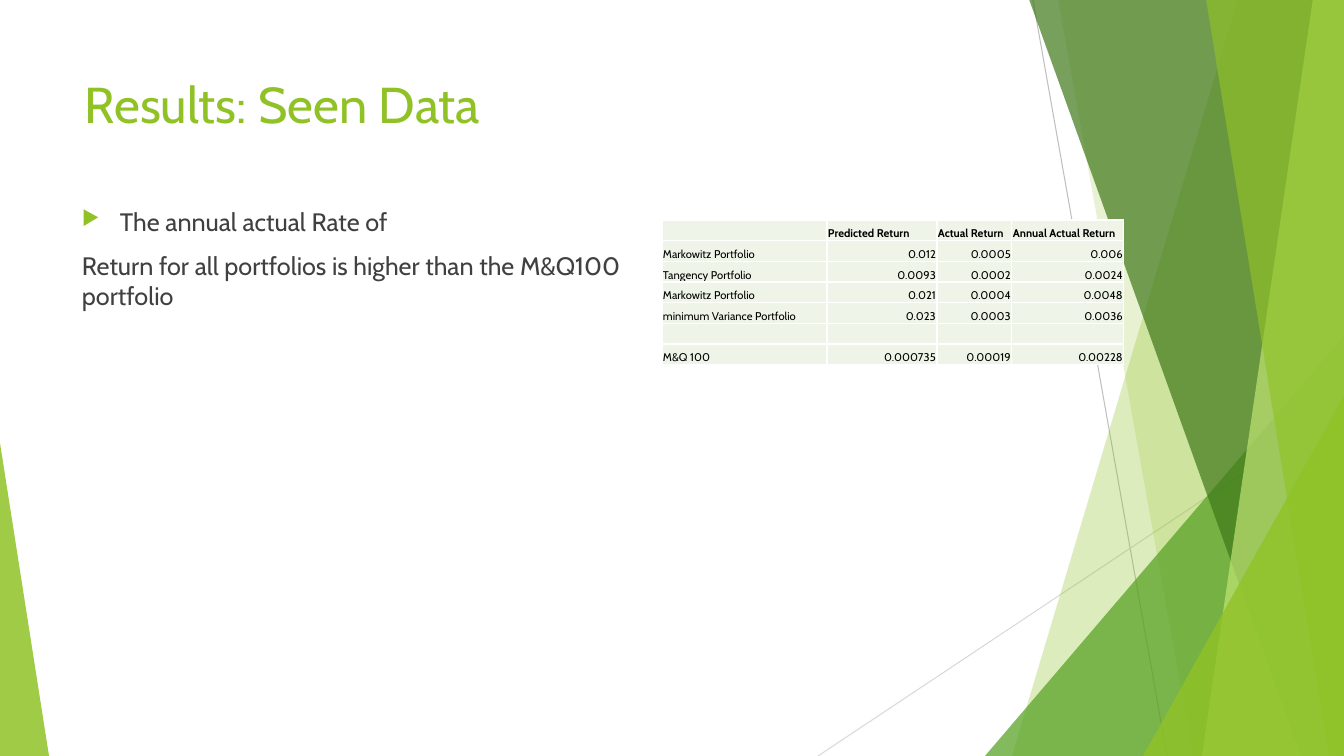
from lxml import etree
from pptx import Presentation
from pptx import util as u
from pptx.dml.color import RGBColor
from pptx.enum import shapes, text
from pptx.oxml.ns import qn

TITLE = "Results: Seen Data"
BULLET_LINE = "The annual actual Rate of"
PLAIN_LINE = "Return for all portfolios is higher than the M&Q100 portfolio"
RETURNS = [
    ("", "Predicted Return", "Actual Return", "Annual Actual Return"),
    ("Markowitz Portfolio", "0.012", "0.0005", "0.006"),
    ("Tangency Portfolio", "0.0093", "0.0002", "0.0024"),
    ("Markowitz Portfolio", "0.021", "0.0004", "0.0048"),
    ("minimum Variance Portfolio", "0.023", "0.0003", "0.0036"),
    ("", "", "", ""),
    ("M&Q 100", "0.000735", "0.00019", "0.00228"),
]

PX = 914400 / 100.8
WIDTH, HEIGHT = 1344, 756
FONT = "Cabin"
WHITE = RGBColor(0xFF, 0xFF, 0xFF)
BLACK = RGBColor(0, 0, 0)
BODY_GRAY = RGBColor(0x40, 0x40, 0x40)
LINE_GRAY = RGBColor(0xBF, 0xBF, 0xBF)
PALE_GRAY = RGBColor(0xD9, 0xD9, 0xD9)
LIME = RGBColor(0x90, 0xC2, 0x26)
GREEN = RGBColor(0x54, 0xA0, 0x21)
DARK_GREEN = RGBColor(0x3F, 0x78, 0x19)
PALE_LIME = RGBColor(0xC0, 0xE4, 0x74)
CELL_GREEN = RGBColor(0xEE, 0xF4, 0xE8)

THIN_LINES = [((1033, 0), (1167, HEIGHT), LINE_GRAY),
              ((WIDTH, 406), (818, HEIGHT), PALE_GRAY)]
# Band: x of the left edge at top and bottom. Triangle: left, top, width, apex.
# Both end with colour and opacity in percent.
DECORATION = [
    ("band", (1238, 1012), LIME, 30),
    ("band", (1058, 1193), LIME, 20),
    ("triangle", (985, 336, 359, 1), GREEN, 72),
    ("band", (1029, 1301), DARK_GREEN, 70),
    ("band", (1313, 1202), PALE_LIME, 70),
    ("band", (1206, 1329), LIME, 65),
    ("triangle", (1143, 396, 201, 1), LIME, 80),
    ("triangle", (0, 443, 49, 0), LIME, 85),
]
TITLE_BOX = (75, 68, 948, 145)
BODY_BOX = (72, 201, 572, 480)
BULLET_INDENT = 38
TABLE_LEFT, TABLE_TOP, TABLE_HEIGHT = 662, 220, 145
COLUMN_WIDTHS = (165, 110, 75, 112)


def px(*lengths):
    return [u.Emu(round(length * PX)) for length in lengths]


def add_xml(parent, tag, **attributes):
    return etree.SubElement(parent, qn(tag), attributes)


def add_thin_line(slide, start, end, colour):
    line = slide.shapes.add_connector(shapes.MSO_CONNECTOR.STRAIGHT, *px(*start, *end))
    line.line.color.rgb = colour
    line.line.width = u.Pt(0.75)
    add_xml(line._element.spPr, "a:effectLst")


def add_decoration(slide, kind, geometry, colour, opacity):
    if kind == "band":
        top_x, bottom_x = geometry
        builder = slide.shapes.build_freeform(top_x, -1, scale=PX)
        builder.add_line_segments([(WIDTH, -1), (WIDTH, HEIGHT), (bottom_x, HEIGHT)])
        shape = builder.convert_to_shape()
    else:
        left, top, width, apex = geometry
        shape = slide.shapes.add_shape(shapes.MSO_SHAPE.ISOSCELES_TRIANGLE,
                                       *px(left, top, width, HEIGHT - top))
        shape.adjustments[0] = apex
    shape.shadow.inherit = False
    shape.line.fill.background()
    shape.fill.solid()
    shape.fill.fore_color.rgb = colour
    colour_node = shape.fill._xPr.find(qn("a:solidFill"))[0]
    add_xml(colour_node, "a:alpha", val=str(opacity * 1000))


def style(paragraph, size, colour, bold=False):
    font = paragraph.font
    font.name, font.size, font.bold = FONT, u.Pt(size), bold
    font.color.rgb = colour


def add_text_frame(slide, box):
    frame = slide.shapes.add_textbox(*px(*box)).text_frame
    frame.word_wrap = True
    return frame


def add_bullet(paragraph):
    properties = paragraph._p.get_or_add_pPr()
    indent = px(BULLET_INDENT)[0]
    properties.set("marL", str(indent))
    properties.set("indent", str(-indent))
    add_xml(add_xml(properties, "a:buClr"), "a:srgbClr", val=str(LIME))
    add_xml(properties, "a:buSzPct", val="80000")
    add_xml(properties, "a:buChar", char="▶")


def fill_cell(cell, value, bold, right):
    cell.margin_left, cell.margin_top, cell.margin_right, cell.margin_bottom = px(1, 1, 1, 0)
    cell.vertical_anchor = text.MSO_ANCHOR.BOTTOM
    properties = cell._tc.get_or_add_tcPr()
    for side in "LRTB":
        border = add_xml(properties, f"a:ln{side}", w=str(u.Pt(1)))
        add_xml(add_xml(border, "a:solidFill"), "a:srgbClr", val=str(WHITE))
    cell.fill.solid()
    cell.fill.fore_color.rgb = CELL_GREEN
    paragraph = cell.text_frame.paragraphs[0]
    style(paragraph, 8, BLACK, bold)
    if right:
        paragraph.alignment = text.PP_ALIGN.RIGHT
    if value:
        paragraph.text = value
    else:
        add_xml(paragraph._p, "a:endParaRPr", sz="800")


def add_returns_table(slide):
    box = px(TABLE_LEFT, TABLE_TOP, sum(COLUMN_WIDTHS), TABLE_HEIGHT)
    table = slide.shapes.add_table(len(RETURNS), len(COLUMN_WIDTHS), *box).table
    for column, width in zip(table.columns, px(*COLUMN_WIDTHS)):
        column.width = width
    for row_index, values in enumerate(RETURNS):
        table.rows[row_index].height = px(TABLE_HEIGHT / len(RETURNS))[0]
        header = row_index == 0
        for column_index, value in enumerate(values):
            fill_cell(table.cell(row_index, column_index), value,
                      bold=header, right=column_index > 0 and not header)


def main():
    presentation = Presentation()
    presentation.slide_width, presentation.slide_height = px(WIDTH, HEIGHT)
    slide = presentation.slides.add_slide(presentation.slide_layouts[6])

    for thin_line in THIN_LINES:
        add_thin_line(slide, *thin_line)
    for decoration in DECORATION:
        add_decoration(slide, *decoration)

    title = add_text_frame(slide, TITLE_BOX).paragraphs[0]
    title.text = TITLE
    style(title, 36, LIME)

    body = add_text_frame(slide, BODY_BOX)
    body.text = f"{BULLET_LINE}\n{PLAIN_LINE}"
    add_bullet(body.paragraphs[0])
    for paragraph in body.paragraphs:
        paragraph.space_before = u.Pt(10)
        style(paragraph, 18, BODY_GRAY)

    add_returns_table(slide)
    presentation.save("out.pptx")


if __name__ == "__main__":
    main()
